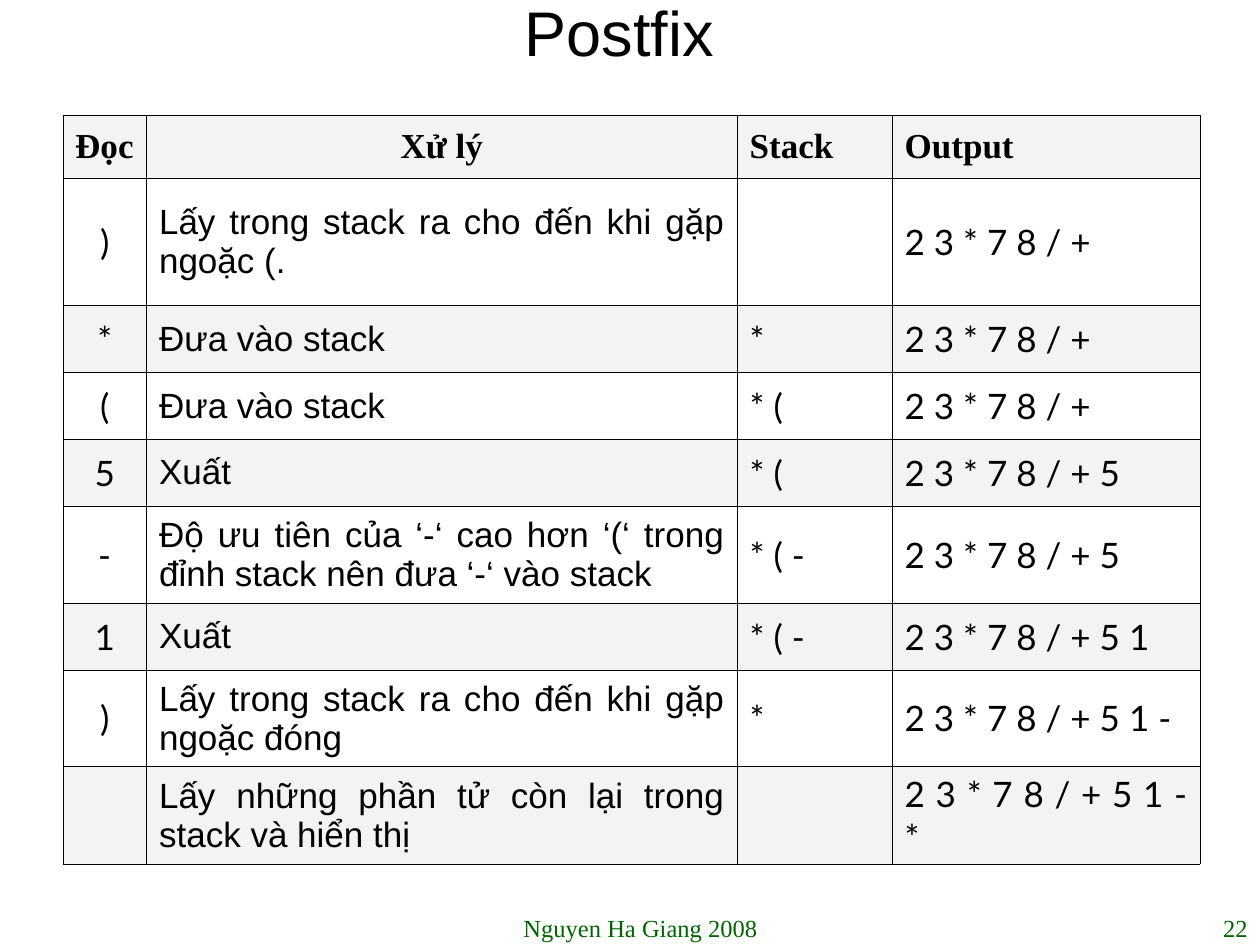
from lxml import etree
from pptx import Presentation
from pptx import util as u
from pptx.dml.color import RGBColor
from pptx.enum import text
from pptx.oxml import ns

BLACK = RGBColor(0x00, 0x00, 0x00)
GREEN = RGBColor(0x00, 0x66, 0x00)
BAND = RGBColor(0xF3, 0xF3, 0xF3)

LEFT, CENTER, RIGHT, JUSTIFY = (
    text.PP_ALIGN.LEFT, text.PP_ALIGN.CENTER, text.PP_ALIGN.RIGHT, text.PP_ALIGN.JUSTIFY)
TOP, MIDDLE = text.MSO_ANCHOR.TOP, text.MSO_ANCHOR.MIDDLE
SERIF = "Times New Roman"

# wording, (left, top, width, height), font, size, colour, alignment, anchor
LABELS = [
    ("Postfix", (30, 0, 648, 36), "Arial", 36, BLACK, CENTER, MIDDLE),
    ("Nguyen Ha Giang 2008", (252, 518.4, 228, 19.5), SERIF, 14, GREEN, CENTER, TOP),
    ("22", (552, 518.4, 168, 19.5), SERIF, 14, GREEN, RIGHT, TOP),
]

HEADINGS = ["Đọc", "Xử lý", "Stack", "Output"]
HEADING_ALIGN = [LEFT, CENTER, JUSTIFY, JUSTIFY]
STEPS = [
    (")", "Lấy trong stack ra cho đến khi gặp ngoặc (.", "", "2 3 * 7 8 / +"),
    ("*", "Đưa vào stack", "*", "2 3 * 7 8 / +"),
    ("(", "Đưa vào stack", "* (", "2 3 * 7 8 / +"),
    ("5", "Xuất", "* (", "2 3 * 7 8 / + 5"),
    ("-", "Độ ưu tiên của ‘-‘ cao hơn ‘(‘ trong đỉnh stack nên đưa ‘-‘ vào stack",
     "* ( -", "2 3 * 7 8 / + 5"),
    ("1", "Xuất", "* ( -", "2 3 * 7 8 / + 5 1"),
    (")", "Lấy trong stack ra cho đến khi gặp ngoặc đóng", "*", "2 3 * 7 8 / + 5 1 -"),
    ("", "Lấy những phần tử còn lại trong stack và hiển thị", "", "2 3 * 7 8 / + 5 1 - *"),
]
STEP_ALIGN = [CENTER, JUSTIFY, JUSTIFY, JUSTIFY]
STEP_FONTS = ["Lato", "Arial", "Lato", "Lato"]
TABLE_LEFT, TABLE_TOP = 36, 66
COLUMN_WIDTHS = [47.7, 337.5, 88.6, 176]
ROW_HEIGHTS = [36, 72.7, 38.2, 38.2, 38.2, 55.4, 38.2, 55.4, 55.4]
BORDER_WIDTH = 0.45


def write(paragraph, wording, font, size, color, align, bold=False):
    paragraph.alignment = align
    run = paragraph.add_run()
    run.text = wording
    run.font.name = font
    run.font.size = u.Pt(size)
    run.font.bold = bold
    run.font.color.rgb = color


def add_label(slide, wording, box, font, size, color, align, anchor):
    frame = slide.shapes.add_textbox(*map(u.Pt, box)).text_frame
    frame.word_wrap = True
    frame.auto_size = text.MSO_AUTO_SIZE.NONE
    frame.vertical_anchor = anchor
    write(frame.paragraphs[0], wording, font, size, color, align)


def add_borders(cell):
    properties = cell._tc.get_or_add_tcPr()
    for position, side in enumerate(("a:lnL", "a:lnR", "a:lnT", "a:lnB")):
        line = etree.Element(ns.qn(side), w=str(u.Pt(BORDER_WIDTH)))
        fill = etree.SubElement(line, ns.qn("a:solidFill"))
        etree.SubElement(fill, ns.qn("a:srgbClr"), val=str(BLACK))
        properties.insert(position, line)


def add_steps_table(slide):
    table = slide.shapes.add_table(
        len(ROW_HEIGHTS), len(COLUMN_WIDTHS), u.Pt(TABLE_LEFT), u.Pt(TABLE_TOP),
        u.Pt(sum(COLUMN_WIDTHS)), u.Pt(sum(ROW_HEIGHTS))).table
    table.first_row = table.horz_banding = False
    for column, width in zip(table.columns, COLUMN_WIDTHS):
        column.width = u.Pt(width)
    for row, height in zip(table.rows, ROW_HEIGHTS):
        row.height = u.Pt(height)

    for r, wordings in enumerate([HEADINGS, *STEPS]):
        heading = r == 0
        for c, wording in enumerate(wordings):
            cell = table.cell(r, c)
            cell.vertical_anchor = MIDDLE
            if r % 2 == 0:
                cell.fill.solid()
                cell.fill.fore_color.rgb = BAND
            else:
                cell.fill.background()
            add_borders(cell)
            if wording:
                write(cell.text_frame.paragraphs[0], wording,
                      SERIF if heading else STEP_FONTS[c], 20, BLACK,
                      HEADING_ALIGN[c] if heading else STEP_ALIGN[c], heading)

    # The narrow first heading needs a little more room to stay on one line
    first_heading = table.cell(0, 0)
    first_heading.margin_left, first_heading.margin_right = u.Pt(7), u.Pt(5)
    first_heading.text_frame.paragraphs[0].space_before = u.Pt(5)


def main():
    deck = Presentation()
    deck.slide_width, deck.slide_height = u.Pt(720), u.Pt(540)
    slide = deck.slides.add_slide(deck.slide_layouts[6])
    add_steps_table(slide)
    for label in LABELS:
        add_label(slide, *label)
    deck.save("out.pptx")


if __name__ == "__main__":
    main()
